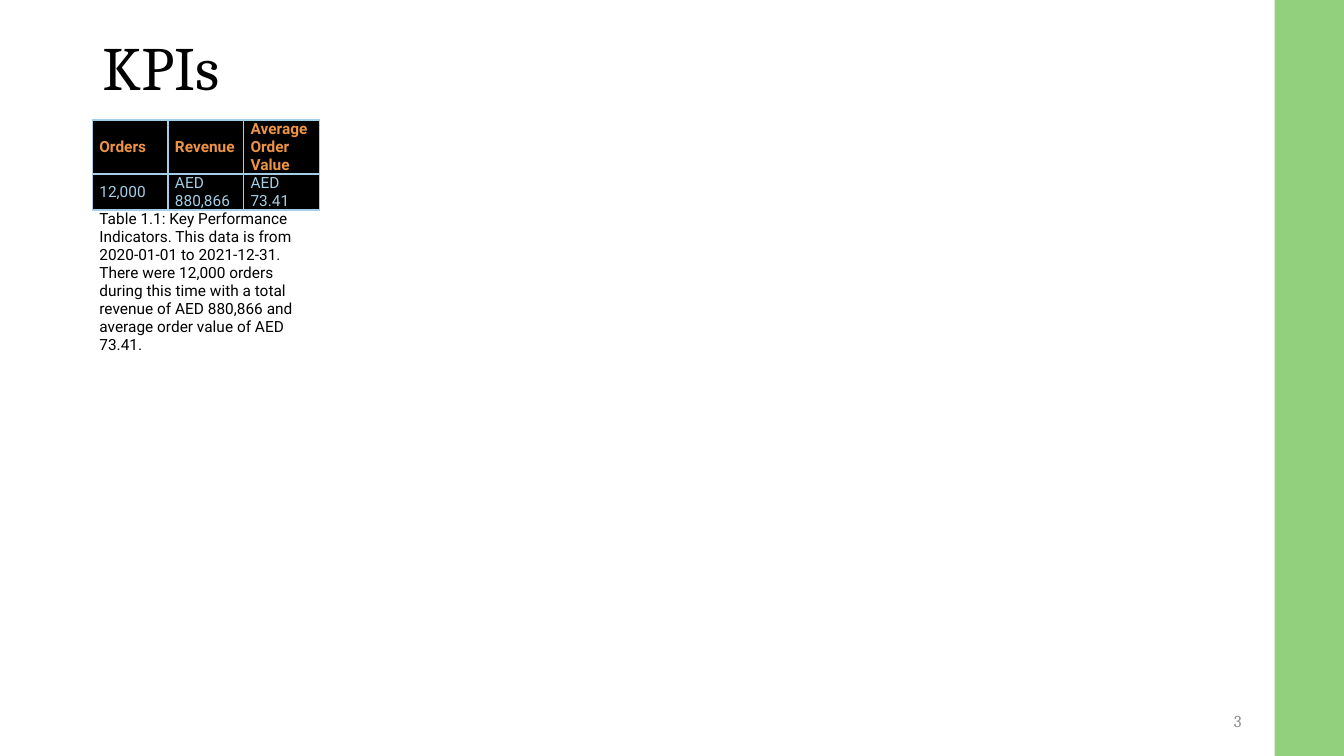
from lxml.etree import SubElement
from pptx import Presentation
from pptx.dml.color import RGBColor as RGB
from pptx.enum.shapes import MSO_SHAPE as SHAPE
from pptx.enum.text import MSO_ANCHOR as ANCHOR, MSO_AUTO_SIZE as FIT, PP_ALIGN as ALIGN
from pptx.oxml.ns import qn
from pptx.util import Pt

COLORS = {"white": "FFFFFF", "green": "93D07D", "black": "000000",
          "orange": "EC9346", "blue": "A4CEE5", "gray": "8C8C8C"}
PLAIN = "{2D5ABB26-0587-4C30-8999-92F81FD0307C}"  # table style without grid

HEADS = ["Orders", "Revenue", "Average Order Value"]
VALUES = ["12,000", "AED 880,866", "AED 73.41"]
CAPTION = ("Table 1.1: Key Performance Indicators. This data is from 2020-01-01 "
           "to 2021-12-31. There were 12,000 orders during this time with a total "
           "revenue of AED 880,866 and average order value of AED 73.41.")


def color(name):
    return RGB.from_string(COLORS[name])


def write(frame, text, font, size, tint, align=ALIGN.LEFT, bold=False):
    para = frame.paragraphs[0]
    para.alignment = align
    run = para.add_run()
    run.text = text
    for key, value in {"name": font, "size": Pt(size), "bold": bold}.items():
        setattr(run.font, key, value)
    run.font.color.rgb = color(tint)
    return para


def draw_band(slide, left, top, width, height):
    band = slide.shapes.add_shape(SHAPE.RECTANGLE, Pt(left), Pt(top), Pt(width), Pt(height))
    band.shadow.inherit = False
    band.fill.solid()
    band.fill.fore_color.rgb = color("green")
    band.line.fill.background()


def draw_title(slide, left, top, width, height):
    title = slide.shapes.title
    box = {"left": left, "top": top, "width": width, "height": height}
    for key, value in box.items():
        setattr(title, key, Pt(value))
    frame = title.text_frame
    frame.auto_size = FIT.NONE
    frame.vertical_anchor = ANCHOR.MIDDLE
    write(frame, "KPIs", "Cambria", 44, "black").line_spacing = 0.9


def add_border(cell):
    props = cell._tc.get_or_add_tcPr()
    for i, side in enumerate(("a:lnL", "a:lnR", "a:lnT", "a:lnB")):
        line = props.makeelement(qn(side), {"w": str(Pt(1))})
        fill = SubElement(line, qn("a:solidFill"))
        SubElement(fill, qn("a:srgbClr"), val=COLORS["blue"])
        props.insert(i, line)  # borders precede the cell fill


def fill_cell(cell, text, tint, bold=False):
    for side in ("left", "right", "top", "bottom"):
        setattr(cell, f"margin_{side}", 0)
    cell.vertical_anchor = ANCHOR.MIDDLE
    para = write(cell.text_frame, text, "Roboto", 11, tint, bold=bold)
    para.space_before = para.space_after = Pt(5)
    para._p.get_or_add_pPr().set("marL", str(Pt(5)))


def draw_table(slide, left, top, width, height):
    holder = slide.shapes.add_table(3, 3, Pt(left), Pt(top), Pt(width), Pt(height))
    table = holder.table
    table._tbl.tblPr.find(qn("a:tableStyleId")).text = PLAIN
    table.first_row = table.horz_banding = False
    for col in table.columns:
        col.width = Pt(54)
    for row in table.rows:
        row.height = Pt(18)
    holder.width, holder.height = Pt(width), Pt(height)

    # Heads and values
    for r, (texts, tint) in enumerate([(HEADS, "orange"), (VALUES, "blue")]):
        for c, text in enumerate(texts):
            cell = table.cell(r, c)
            fill_cell(cell, text, tint, bold=r == 0)
            cell.fill.solid()
            cell.fill.fore_color.rgb = color("black")
            add_border(cell)

    # Caption across the last row
    note = table.cell(2, 0)
    note.merge(table.cell(2, 2))
    fill_cell(note, CAPTION, "black")
    note.fill.background()


def draw_number(slide, left, top, width, height):
    box = slide.shapes.add_textbox(Pt(left), Pt(top), Pt(width), Pt(height))
    frame = box.text_frame
    frame.word_wrap = True
    frame.vertical_anchor = ANCHOR.MIDDLE
    write(frame, "3", "Cambria", 12, "gray", ALIGN.RIGHT)


def main():
    deck = Presentation()
    deck.slide_width, deck.slide_height = Pt(960), Pt(540)
    slide = deck.slides.add_slide(deck.slide_layouts[5])
    slide.background.fill.solid()
    slide.background.fill.fore_color.rgb = color("white")
    draw_band(slide, 910.5, 0, 49.5, 540)
    draw_title(slide, 66, 28.8, 828, 43.2)
    draw_table(slide, 66, 85.7, 828, 401)
    draw_number(slide, 844.5, 500.5, 49.5, 28.75)
    deck.save("out.pptx")


if __name__ == "__main__":
    main()
